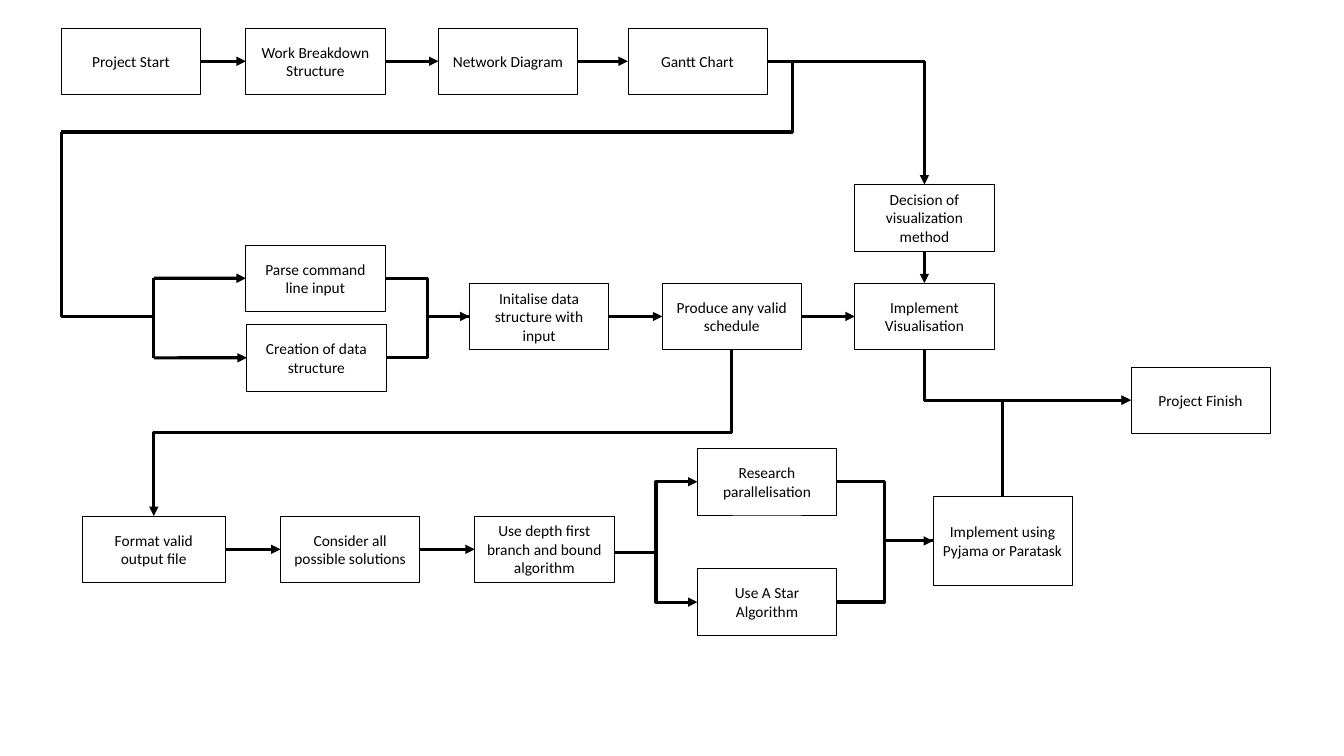
from collections import namedtuple
from dataclasses import dataclass
from lxml.etree import SubElement
from pptx import Presentation
from pptx.dml.color import RGBColor
from pptx.enum.shapes import MSO_CONNECTOR as Link, MSO_SHAPE as Preset
from pptx.enum.text import MSO_ANCHOR as Anchor, PP_ALIGN as Align
from pptx.oxml.ns import qn
from pptx.util import Pt

Region = namedtuple("Region", "left top")
TOP, LEFT, BOTTOM, RIGHT = range(4)  # connection sites of a rectangle


@dataclass(frozen=True)
class Theme:
    """Colours, type and line sizes of the flowchart."""
    ink: RGBColor = RGBColor(0, 0, 0)
    paper: RGBColor = RGBColor(255, 255, 255)
    font: str = "Calibri"
    text_size: float = 11
    border: float = 0.5
    flow: float = 2.25
    step_width: float = 99.4
    step_height: float = 47.5


THEME = Theme()


def add_step(page, region, x, y, label, width=THEME.step_width, height=THEME.step_height):
    """Draw one labelled box at an offset inside its region."""
    step = page.shapes.add_shape(
        Preset.RECTANGLE, Pt(region.left + x), Pt(region.top + y), Pt(width), Pt(height))
    step.shadow.inherit = False
    step.fill.solid()
    step.fill.fore_color.rgb = THEME.paper
    step.line.color.rgb = THEME.ink
    step.line.width = Pt(THEME.border)
    step.text_frame.word_wrap = True
    step.text_frame.vertical_anchor = Anchor.MIDDLE
    para = step.text_frame.paragraphs[0]
    para.text = label
    para.alignment = Align.CENTER
    para.font.name = THEME.font
    para.font.size = Pt(THEME.text_size)
    para.font.color.rgb = THEME.ink
    return step


def locate(end):
    """Turn a (step, site) pair or an (x, y) pair in points into a position."""
    step, site = end
    if not hasattr(step, "text_frame"):
        return Pt(step), Pt(site)
    middle_x, middle_y = step.left + step.width // 2, step.top + step.height // 2
    return {TOP: (middle_x, step.top), LEFT: (step.left, middle_y),
            BOTTOM: (middle_x, step.top + step.height),
            RIGHT: (step.left + step.width, middle_y)}[site]


def add_flow(page, start, end, kind=Link.STRAIGHT, arrow=True):
    """Draw a connector and attach it to the steps it joins."""
    flow = page.shapes.add_connector(kind, *locate(start), *locate(end))
    for point, attach in ((start, flow.begin_connect), (end, flow.end_connect)):
        if hasattr(point[0], "text_frame"):
            attach(*point)
    flow.line.color.rgb = THEME.ink
    flow.line.width = Pt(THEME.flow)
    if arrow:
        SubElement(flow.line._get_or_add_ln(), qn("a:tailEnd"), type="triangle")
    SubElement(flow._element.spPr, qn("a:effectLst"))
    return flow


def add_bend(page, start, end, bend_x=None, corner=False, upright=False, arrow=True):
    """Draw an elbow; corner turns once, upright leaves the start vertically."""
    flow = add_flow(page, start, end, Link.ELBOW, arrow)
    (x1, y1), (x2, y2) = locate(start), locate(end)
    geometry = flow._element.spPr.find(qn("a:prstGeom"))
    if corner:
        geometry.set("prst", "bentConnector2")
    elif bend_x is not None:
        share = round(100000 * (Pt(bend_x) - x1) / (x2 - x1))
        values = geometry.find(qn("a:avLst"))
        SubElement(values, qn("a:gd"), name="adj1", fmla=f"val {share}")
    if upright:
        width, height = abs(y2 - y1), abs(x2 - x1)
        flow.left, flow.top = (x1 + x2 - width) // 2, (y1 + y2 - height) // 2
        flow.width, flow.height = width, height
        frame = flow._element.spPr.find(qn("a:xfrm"))
        frame.set("rot", "5400000")
        frame.set("flipH", str(int(y2 < y1)))
        frame.set("flipV", str(int(x2 > x1)))
    return flow


def chain(page, steps):
    """Join neighbouring steps of a row with arrows."""
    for before, after in zip(steps, steps[1:]):
        add_flow(page, (before, RIGHT), (after, LEFT))


def planning_row(page, region):
    """Place the planning steps and return the last one."""
    labels = ("Project Start", "Work Breakdown Structure", "Network Diagram", "Gantt Chart")
    steps = [add_step(page, region, x, 0, label)
             for x, label in zip((0, 131.7, 269.3, 404.6), labels)]
    chain(page, steps)
    return steps[-1]


def schedule_stage(page, region, gantt):
    """Place input, schedule and visualisation steps; return the two that lead on."""
    parse = add_step(page, region, 131.7, 43.2, "Parse command line input")
    create = add_step(page, region, 132.4, 100, "Creation of data structure")
    labels = ("Initalise data structure with input", "Produce any valid schedule",
              "Implement Visualisation")
    row = [add_step(page, region, 291.5 + 137.6 * column, 70.5, label)
           for column, label in enumerate(labels)]
    decision = add_step(page, region, 566.7, 0, "Decision of visualization method")
    chain(page, row)
    add_flow(page, (decision, BOTTOM), (row[2], TOP))
    add_bend(page, (gantt, RIGHT), (decision, TOP), corner=True)

    return_y, spine_x = region.top - 37.5, region.left + 66
    add_bend(page, (gantt, RIGHT), (region.left, return_y), bend_x=566, arrow=False)
    add_bend(page, (region.left, return_y), (spine_x, region.top + 94.3),
             corner=True, upright=True, arrow=False)
    branches = [region.top + offset for offset in (67, 123.8)]
    add_flow(page, (spine_x, branches[0]), (spine_x, branches[1]), arrow=False)
    for step, y in zip((parse, create), branches):
        add_flow(page, (spine_x, y), (step, LEFT))
        add_bend(page, (step, RIGHT), (row[0], LEFT), bend_x=305.3, arrow=step is parse)
    return row[1], row[2]


def algorithm_stage(page, region, schedule):
    """Place the search and parallel steps; return the last one."""
    output = add_step(page, region, 0, 48.2, "Format valid output file", width=101.7)
    consider = add_step(page, region, 141.4, 48.2, "Consider all possible solutions")
    search = add_step(page, region, 280.1, 48.2, "Use depth first branch and bound algorithm")
    research = add_step(page, region, 439.2, 0, "Research parallelisation")
    star = add_step(page, region, 439.2, 85.9, "Use A Star Algorithm")
    implement = add_step(page, region, 607.4, 34, "Implement using Pyjama or Paratask", height=64)
    chain(page, [output, consider, search])
    add_bend(page, (schedule, BOTTOM), (output, TOP), upright=True)
    for step in (research, star):
        add_bend(page, (region.left + 380, region.top + 74.2), (step, LEFT))
        add_bend(page, (step, RIGHT), (implement, LEFT), arrow=step is research)
    return implement


def finish_stage(page, region, visualisation, parallel):
    """Place the final step and lead both streams into it."""
    finish = add_step(page, region, 0, 0, "Project Finish")
    for step, site in ((parallel, TOP), (visualisation, BOTTOM)):
        add_bend(page, (step, site), (finish, LEFT), corner=True, upright=True)


deck = Presentation()
deck.slide_width, deck.slide_height = Pt(960), Pt(540)
page = deck.slides.add_slide(deck.slide_layouts[6])
gantt = planning_row(page, Region(43.9, 20))
schedule, visualisation = schedule_stage(page, Region(43.9, 131.8), gantt)
parallel = algorithm_stage(page, Region(59, 320.4), schedule)
finish_stage(page, Region(807.8, 262.1), visualisation, parallel)
deck.save("out.pptx")
